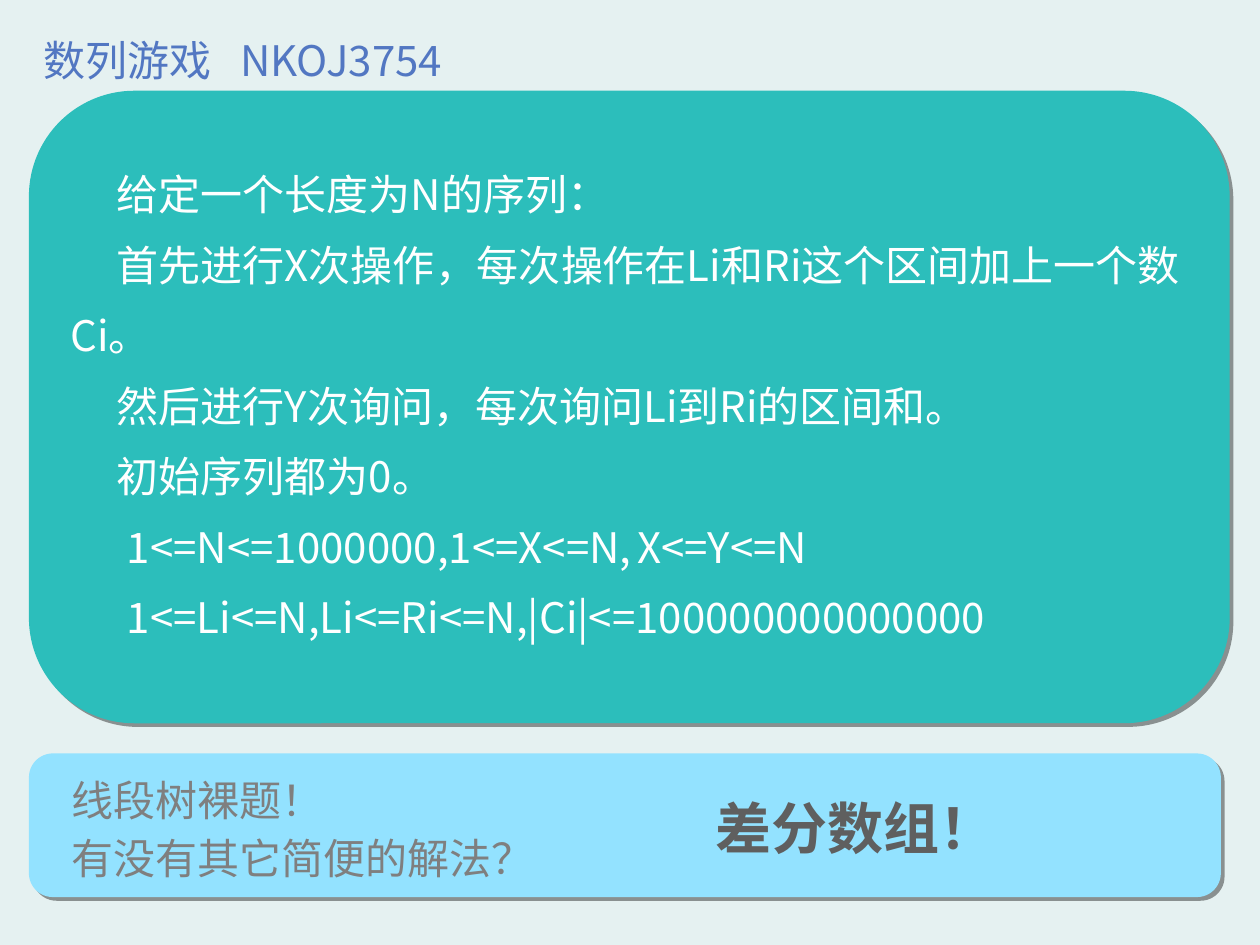
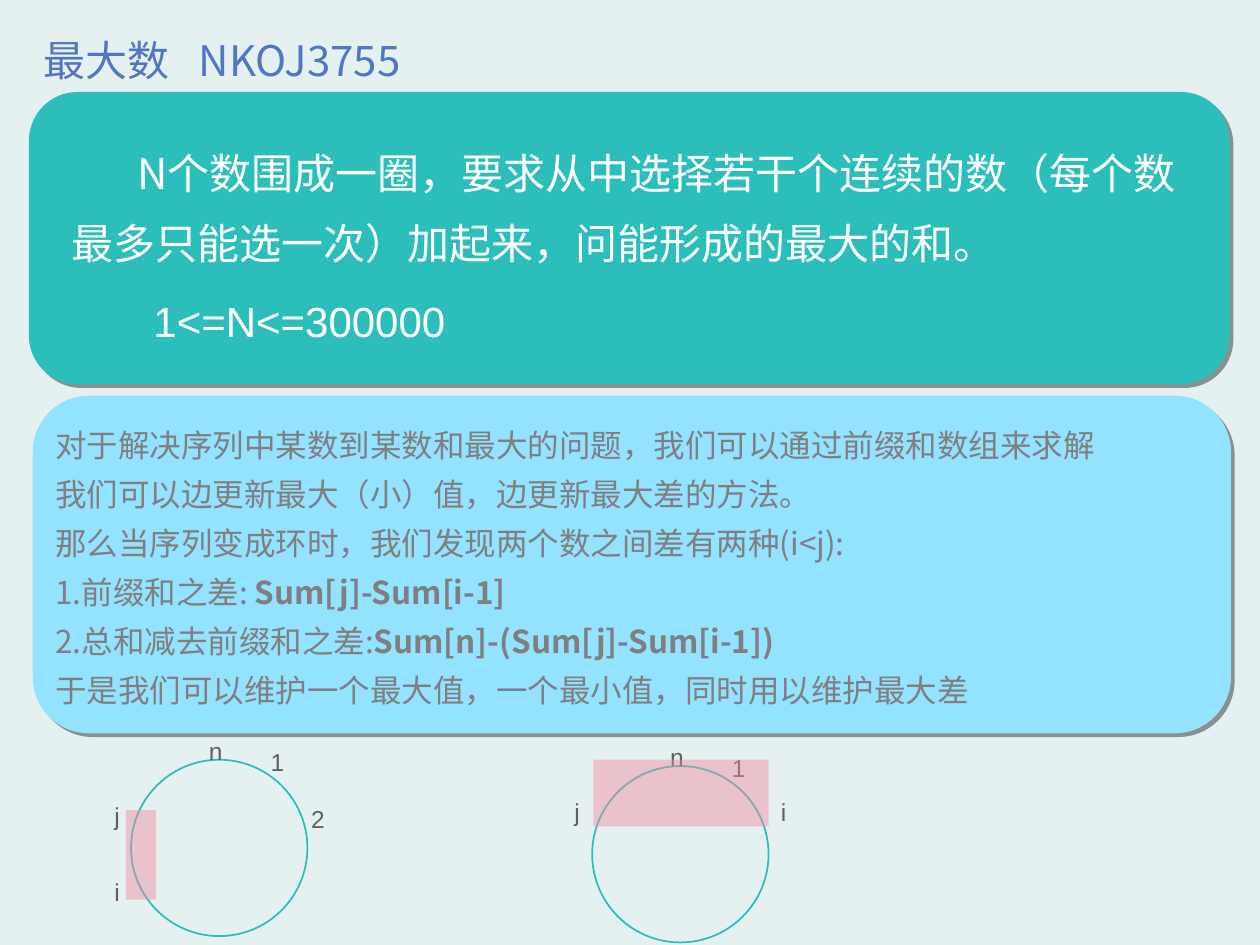
from lxml import etree
from pptx import Presentation
from pptx.dml.color import RGBColor
from pptx.enum.shapes import MSO_SHAPE
from pptx.enum.text import MSO_ANCHOR, MSO_AUTO_SIZE
from pptx.oxml.ns import qn
from pptx.util import Inches, Pt

PANEL = MSO_SHAPE.FLOWCHART_ALTERNATE_PROCESS
OVAL, RECT = MSO_SHAPE.OVAL, MSO_SHAPE.RECTANGLE
MIDDLE, GROW = MSO_ANCHOR.MIDDLE, MSO_AUTO_SIZE.SHAPE_TO_FIT_TEXT

PALE = RGBColor(0xE5, 0xF1, 0xF1)
BLUE = RGBColor(0x52, 0x77, 0xC2)
TEAL = RGBColor(0x2C, 0xBE, 0xBB)
SKY = RGBColor(0x93, 0xE2, 0xFF)
PINK = RGBColor(0xEE, 0x8C, 0xA0)
WHITE = RGBColor(0xFF, 0xFF, 0xFF)
GREY = RGBColor(0x7F, 0x7F, 0x7F)
DARK = RGBColor(0x5F, 0x5F, 0x5F)
SANS, ARIAL = "Noto Sans CJK SC", "Arial"

# Text styles: font values by role
HEAD = {"name": SANS, "size": Pt(24), "color": BLUE}
TASK = {"name": SANS, "size": Pt(24), "color": WHITE}
LIMIT = {"name": ARIAL, "size": Pt(24), "color": WHITE}
HINT = {"name": SANS, "size": Pt(24), "color": GREY}
NOTE = {"name": SANS, "size": Pt(18), "color": GREY}
KEY = {"name": ARIAL, "size": Pt(32), "color": DARK, "bold": True}
MARK = {"name": ARIAL, "size": Pt(14), "color": DARK}


def add_xml(parent, tag, **attrs):
    node = etree.SubElement(parent, qn(tag))
    for key, value in attrs.items():
        node.set(key, str(value))
    return node


class Deck:
    def __init__(self):
        self.prs = Presentation()
        self.prs.slide_width, self.prs.slide_height = Inches(10), Inches(7.5)
        self.slide = None

    def start(self, name, code, stop):
        """Open a slide with its title; the code sits at a tab stop."""
        self.slide = self.prs.slides.add_slide(self.prs.slide_layouts[6])
        fill = self.slide.background.fill
        fill.solid()
        fill.fore_color.rgb = PALE
        frame = self.text((0.25, 0.04, 8.63, 0.92), [f"{name}\t{code}"],
                          HEAD, space=0.9, stop=stop, grow=False)
        frame.vertical_anchor = MIDDLE

    def shape(self, kind, at, fill=None, line=None):
        item = self.slide.shapes.add_shape(kind, *map(Inches, at))
        item.shadow.inherit = False
        if fill is None:
            item.fill.background()
        else:
            item.fill.solid()
            item.fill.fore_color.rgb = fill
        if line is None:
            item.line.fill.background()
        else:
            item.line.color.rgb = line
            item.line.width = Pt(1)
        return item

    def panel(self, at, fill):
        item = self.shape(PANEL, at, fill)
        effects = item._element.spPr.find(qn("a:effectLst"))
        shadow = add_xml(effects, "a:outerShdw", blurRad=0, dist=Pt(3),
                         dir=45 * 60000, algn="ctr", rotWithShape=0)
        tint = add_xml(shadow, "a:srgbClr", val="000000")
        add_xml(tint, "a:alpha", val=40000)

    def band(self, at):
        item = self.shape(RECT, at, PINK)
        tint = item._element.spPr.find(".//" + qn("a:srgbClr"))
        add_xml(tint, "a:alpha", val=46000)

    def text(self, at, paras, style, space=1.3, indents=(), stop=None,
             wrap=True, grow=True):
        """Write paragraphs; in a tuple of runs every second one is bold."""
        frame = self.slide.shapes.add_textbox(*map(Inches, at)).text_frame
        frame.word_wrap = wrap
        if grow:
            frame.auto_size = GROW
        for row, runs in enumerate(paras):
            para = frame.paragraphs[0] if row == 0 else frame.add_paragraph()
            para.line_spacing = space
            props = para._p.get_or_add_pPr()
            if indents:
                props.set("marL", "0")
                props.set("indent", str(Inches(indents[row])))
            if stop:
                tabs = add_xml(props, "a:tabLst")
                add_xml(tabs, "a:tab", pos=Inches(stop), algn="l")
            for col, words in enumerate([runs] if isinstance(runs, str) else runs):
                self.run(para, words, {"bold": col % 2 == 1, **style})
        return frame

    def run(self, para, words, style):
        run = para.add_run()
        run.text = words
        for key, value in style.items():
            if key == "color":
                run.font.color.rgb = value
            else:
                setattr(run.font, key, value)
        add_xml(run._r.get_or_add_rPr(), "a:ea", typeface=SANS)

    def ring(self, left, top, marks, band):
        """Draw a circle, its marks (offsets from its corner) and a band."""
        self.shape(OVAL, (left, top, 1.4, 1.4), line=TEAL)
        for sign, across, down in marks:
            width = 0.24 if sign in "ij" else 0.31
            self.text((left + across, top + down, width, 0.41), [sign],
                      MARK, wrap=False)
        self.band(band)


def sequence(deck):
    deck.start("数列游戏", "NKOJ3754", 1.56)
    # Task
    deck.panel((0.23, 0.72, 9.53, 5.02), TEAL)
    deck.text((0.46, 1.13, 9.06, 4.02), [
        "给定一个长度为N的序列：",
        "首先进行X次操作，每次操作在Li和Ri这个区间加上一个数Ci。",
        "然后进行Y次询问，每次询问Li到Ri的区间和。",
        "初始序列都为0。",
        "1<=N<=1000000,1<=X<=N,\tX<=Y<=N",
        "1<=Li<=N,Li<=Ri<=N,|Ci|<=100000000000000",
    ], TASK, space=1.4, indents=[0.37] * 4 + [0.45] * 2, stop=4.66)
    # Hint and answer
    deck.panel((0.23, 5.98, 9.46, 1.14), SKY)
    for row, words in enumerate(["线段树裸题！", "有没有其它简便的解法？"]):
        deck.text((0.47, 5.98 + 0.46 * row, 8.93, 0.62), [words], HINT)
    deck.text((5.58, 6.09, 2.42, 0.8), ["差分数组！"], KEY, wrap=False)


def largest(deck):
    deck.start("最大数", "NKOJ3755", 1.23)
    # Task
    deck.panel((0.23, 0.73, 9.53, 2.32), TEAL)
    deck.text((0.47, 0.96, 9.06, 1.22), [
        "N个数围成一圈，要求从中选择若干个连续的数（每个数最多只能选一次）"
        "加起来，问能形成的最大的和。",
    ], TASK, space=1.4, indents=[0.52])
    deck.text((0.75, 2.18, 5.16, 0.62), ["1<=N<=300000"], LIMIT, indents=[0.37])
    # Method
    deck.panel((0.26, 3.14, 9.51, 2.68), SKY)
    deck.text((0.34, 3.24, 9.02, 2.44), [
        "对于解决序列中某数到某数和最大的问题，我们可以通过前缀和数组来求解",
        "我们可以边更新最大（小）值，边更新最大差的方法。",
        "那么当序列变成环时，我们发现两个数之间差有两种(i<j):",
        ("1.前缀和之差: ", "Sum[j]-Sum[i-1]"),
        ("2.总和减去前缀和之差:", "Sum[n]-(Sum[j]-Sum[i-1])"),
        "于是我们可以维护一个最大值，一个最小值，同时用以维护最大差",
    ], NOTE)
    # Rings: the chosen part inside, then across the seam
    seam = [("n", 0.52, -0.31), ("1", 1.01, -0.22)]
    deck.ring(1.04, 6.03, seam + [("2", 1.33, 0.23), ("j", -0.23, 0.21),
                                  ("i", -0.23, 0.81)], (1, 6.43, 0.24, 0.71))
    deck.ring(4.7, 6.08, seam + [("j", -0.24, 0.13), ("i", 1.4, 0.13)],
              (4.71, 6.03, 1.39, 0.53))


def main():
    deck = Deck()
    sequence(deck)
    largest(deck)
    deck.prs.save("out.pptx")


if __name__ == "__main__":
    main()
